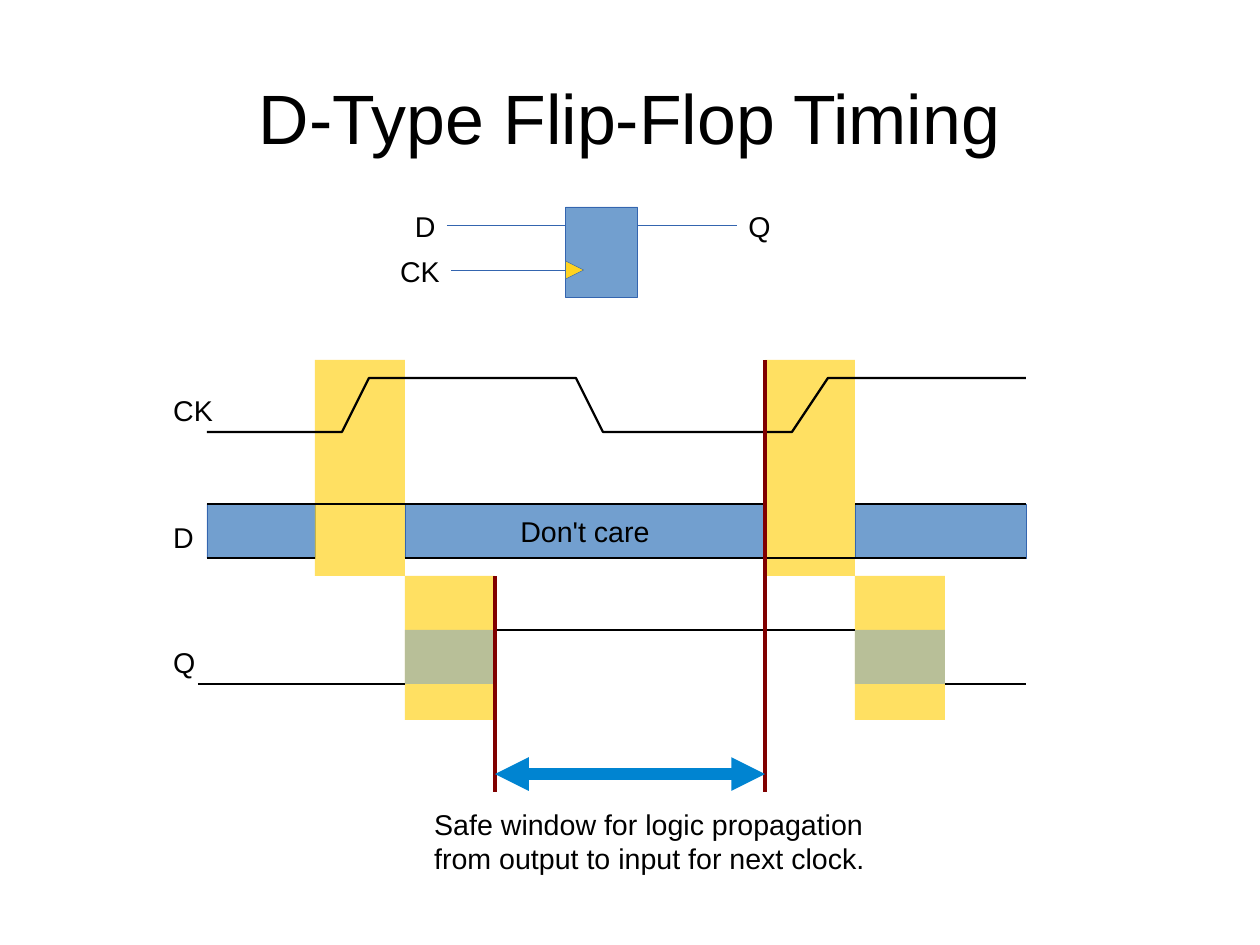
from pptx import Presentation
from pptx import util as u
from pptx.dml import color
from pptx.enum import shapes as sh, text as tx
from pptx.oxml import ns
from lxml import etree

BLACK = color.RGBColor(0x00, 0x00, 0x00)
BLUE = color.RGBColor(0x72, 0x9F, 0xCF)
OUTLINE = color.RGBColor(0x34, 0x65, 0xAF)
YELLOW = color.RGBColor(0xFF, 0xD3, 0x20)
DARK_RED = color.RGBColor(0x80, 0x00, 0x00)
ARROW_BLUE = color.RGBColor(0x00, 0x84, 0xD1)
HAIRLINE, SIGNAL, LIMIT, WINDOW = 0.28, 1.42, 2.83, 7.09
LABEL_WIDTH = {"CK": 1.4, "D": 0.97, "Q": 1.02}


def set_font(paragraph, size=18):
    paragraph.font.name = "Arial"
    paragraph.font.size = u.Pt(size)
    paragraph.font.color.rgb = BLACK


def add_block(slide, left, top, width, height, fill, outline=None, alpha=None,
              kind=sh.MSO_SHAPE.RECTANGLE):
    block = slide.shapes.add_shape(kind, u.Cm(left), u.Cm(top), u.Cm(width), u.Cm(height))
    block.shadow.inherit = False
    block.fill.solid()
    block.fill.fore_color.rgb = fill
    if outline is None:
        block.line.fill.background()
    else:
        block.line.color.rgb = outline
        block.line.width = u.Pt(HAIRLINE)
    if alpha is not None:
        rgb = block._element.spPr.find(ns.qn("a:solidFill")).find(ns.qn("a:srgbClr"))
        etree.SubElement(rgb, ns.qn("a:alpha")).set("val", str(alpha * 1000))
    return block


def add_line(slide, x1, y1, x2, y2, colour=BLACK, width=SIGNAL,
             kind=sh.MSO_CONNECTOR.STRAIGHT):
    line = slide.shapes.add_connector(kind, u.Cm(x1), u.Cm(y1), u.Cm(x2), u.Cm(y2))
    line.line.color.rgb = colour
    line.line.width = u.Pt(width)
    etree.SubElement(line._element.spPr, ns.qn("a:effectLst"))
    return line


def add_text(slide, wording, left, top, width, height=0.97, wrap=False):
    box = slide.shapes.add_textbox(u.Cm(left), u.Cm(top), u.Cm(width), u.Cm(height))
    box.text_frame.word_wrap = wrap
    box.text_frame.auto_size = tx.MSO_AUTO_SIZE.SHAPE_TO_FIT_TEXT
    box.text_frame.text = wording
    set_font(box.text_frame.paragraphs[0])


def draw_title(slide, left, top, width, height):
    title = slide.shapes.title
    title.left, title.top, title.width, title.height = map(u.Cm, (left, top, width, height))
    frame = title.text_frame
    frame.margin_left = frame.margin_right = frame.margin_top = frame.margin_bottom = 0
    frame.vertical_anchor = tx.MSO_ANCHOR.MIDDLE
    frame.text = "D-Type Flip-Flop Timing"
    frame.paragraphs[0].alignment = tx.PP_ALIGN.CENTER
    set_font(frame.paragraphs[0], 44)


def draw_flip_flop(slide, left, top, width, height):
    data_y, clock_y = top + 0.4, top + 1.4
    add_block(slide, left, top, width, height, BLUE, OUTLINE)
    clock_mark = add_block(slide, left, clock_y - 0.2, 0.4, 0.4, YELLOW, OUTLINE,
                           kind=sh.MSO_SHAPE.ISOSCELES_TRIANGLE)
    clock_mark.rotation = 90

    # Pins: name, label position, wire ends and height
    right = left + width
    pins = [
        ("D", left - 3.6, left - 2.64, left, data_y),
        ("CK", left - 3.93, left - 2.54, left, clock_y),
        ("Q", right + 2.21, right, right + 2.21, data_y),
    ]
    for name, label_x, start, end, y in pins:
        add_text(slide, name, label_x, y - 0.48, LABEL_WIDTH[name])
        add_line(slide, start, y, end, y, OUTLINE, HAIRLINE, sh.MSO_CONNECTOR.ELBOW)


def draw_timing(slide, left, top, width, height):
    period, slot, swing = 10, 2, 1.2
    right, bottom = left + width, top + height
    setups = [left + 2.4, left + 2.4 + period]
    holds = [x + slot for x in setups]
    valid = [x + slot for x in holds]
    clock_y, data_y, output_y = top + 0.4, top + 3.2, top + 6
    hold_y = top + 4.8

    # Spans where the D input does not matter
    for start, end, wording in [(left, setups[0], ""), (holds[0], setups[1], "Don't care"),
                                (holds[1], right, "")]:
        bar = add_block(slide, start, data_y, end - start, swing, BLUE, OUTLINE)
        if wording:
            bar.text_frame.word_wrap = False
            bar.text_frame.vertical_anchor = tx.MSO_ANCHOR.MIDDLE
            bar.text_frame.text = wording
            bar.text_frame.paragraphs[0].alignment = tx.PP_ALIGN.CENTER
            set_font(bar.text_frame.paragraphs[0])

    # Spans around each clock edge, then the output delay after it
    for setup, hold in zip(setups, holds):
        add_block(slide, setup, top, slot, hold_y - top, YELLOW, alpha=70)
        add_block(slide, hold, hold_y, slot, 3.2, YELLOW, alpha=70)

    # Clock waveform
    high, low = clock_y, clock_y + swing
    wave = [(left, low), (left + 3, low), (left + 3.6, high), (left + 8.2, high),
            (left + 8.8, low), (left + 13, low), (left + 13.8, high), (right, high)]
    points = [(u.Cm(x), u.Cm(y)) for x, y in wave]
    builder = slide.shapes.build_freeform(*points[0])
    builder.add_line_segments(points[1:], close=False)
    clock = builder.convert_to_shape()
    clock.shadow.inherit = False
    clock.fill.background()
    clock.line.color.rgb = BLACK
    clock.line.width = u.Pt(SIGNAL)

    # Levels of D and Q
    for start, end, y in [
        (left, setups[1], data_y), (holds[1], right, data_y),
        (left, setups[0], data_y + swing), (holds[0], right, data_y + swing),
        (left - 0.2, holds[0], output_y + swing), (valid[0], holds[1], output_y),
        (valid[1], right, output_y + swing),
    ]:
        add_line(slide, start, y, end, y)

    # Output changing
    for hold in holds:
        add_block(slide, hold, output_y, slot, swing, BLUE, alpha=50)

    # Signal names
    for name, y in [("CK", clock_y + 0.2), ("D", data_y + 0.23), ("Q", output_y + 0.2)]:
        add_text(slide, name, left - 1, y, LABEL_WIDTH[name])

    # Safe window
    add_line(slide, valid[0], hold_y, valid[0], bottom, DARK_RED, LIMIT)
    add_line(slide, setups[1], top, setups[1], bottom, DARK_RED, LIMIT)
    window = add_line(slide, valid[0], bottom - 0.4, setups[1], bottom - 0.4,
                      ARROW_BLUE, WINDOW)
    outline = window._element.spPr.find(ns.qn("a:ln"))
    for end in ("a:headEnd", "a:tailEnd"):
        etree.SubElement(outline, ns.qn(end)).set("type", "triangle")
    add_text(slide, "Safe window for logic propagation from output to input for next clock.",
             valid[0] - 1.6, bottom + 0.2, 10.6, 1.68, wrap=True)


def main():
    deck = Presentation()
    deck.slide_width, deck.slide_height = u.Cm(28), u.Cm(21)
    slide = deck.slides.add_slide(deck.slide_layouts[5])
    draw_title(slide, 1.4, 0.84, 25.2, 3.5)
    draw_timing(slide, 4.6, 8, 18.2, 9.6)
    draw_flip_flop(slide, 12.57, 4.6, 1.6, 2)
    deck.save("out.pptx")


if __name__ == "__main__":
    main()
